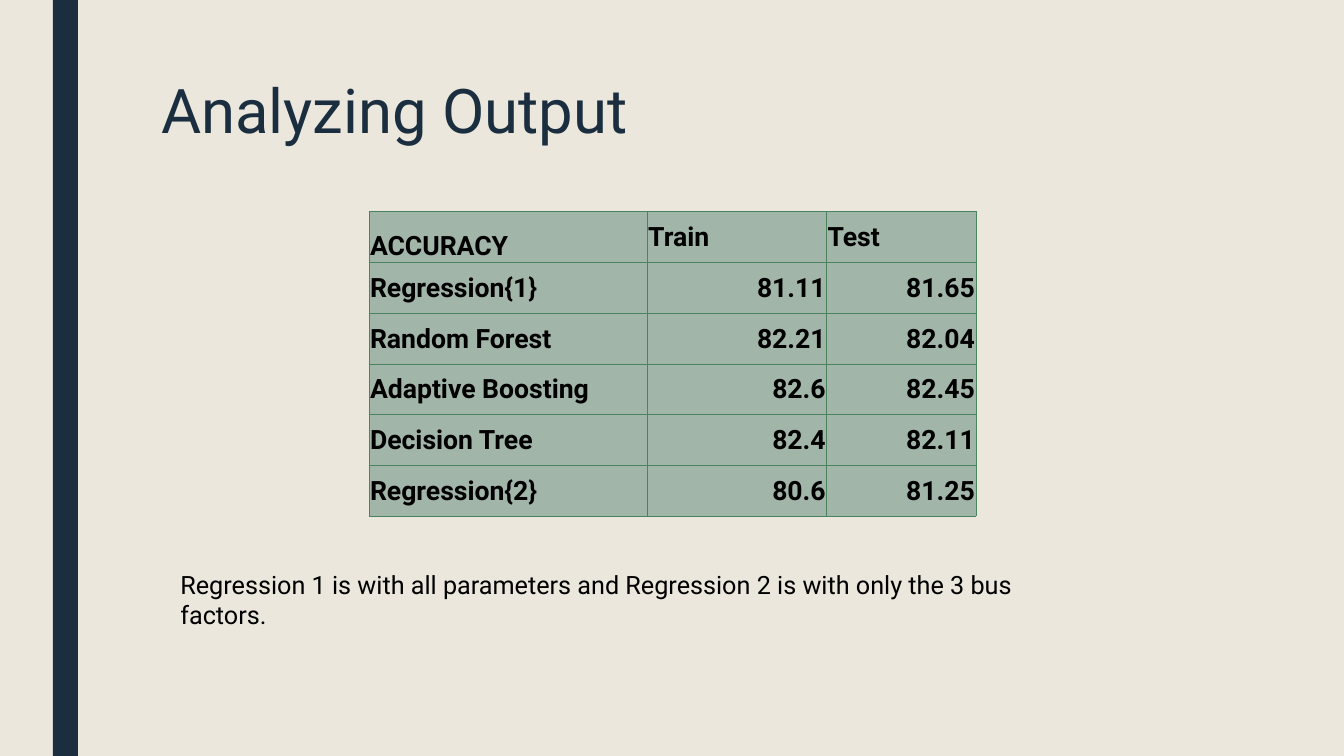
from dataclasses import dataclass

from lxml.etree import SubElement
from pptx import Presentation
from pptx.dml.color import RGBColor
from pptx.enum.shapes import MSO_SHAPE
from pptx.enum.text import MSO_ANCHOR as Anchor, PP_ALIGN as Align
from pptx.oxml.ns import qn
from pptx.util import Inches, Pt

COLORS = {
    "paper": "EBE7DD",
    "navy": "1A2E40",
    "sage": "A2B5A9",
    "green": "4A845E",
    "black": "000000",
}
FONT = "Roboto"
WIDTH, HEIGHT = Inches(13.33), Inches(7.5)


@dataclass(frozen=True)
class Area:
    """A place on the slide, in percent of its width and height."""
    left: float
    top: float
    width: float
    height: float

    def box(self) -> tuple[int, int, int, int]:
        return (across(self.left), down(self.top),
                across(self.width), down(self.height))


@dataclass(frozen=True)
class Score:
    model: str
    train: str
    test: str


SCORES = [
    Score("ACCURACY", "Train", "Test"),
    Score("Regression{1}", "81.11", "81.65"),
    Score("Random Forest", "82.21", "82.04"),
    Score("Adaptive Boosting", "82.6", "82.45"),
    Score("Decision Tree", "82.4", "82.11"),
    Score("Regression{2}", "80.6", "81.25"),
]
COLUMN_SHARES = (20.7, 13.35, 11.1)
ROW_SHARE = 6.71

STRIPE = Area(3.93, 0, 1.86, 100)
HEADING = Area(11.25, 10, 78.77, 21.6)
ACCURACY = Area(27.46, 28, sum(COLUMN_SHARES), ROW_SHARE * len(SCORES))
REMARK = Area(12.68, 74.67, 67.22, 5.33)


def across(percent: float) -> int:
    return round(WIDTH * percent / 100)


def down(percent: float) -> int:
    return round(HEIGHT * percent / 100)


def rgb(name: str) -> RGBColor:
    return RGBColor.from_string(COLORS[name])


def write(frame, text: str, *, size: float, color: str = "black",
          bold: bool = False, align=Align.LEFT, spacing: float = 1.0) -> None:
    frame.word_wrap = True
    paragraph = frame.paragraphs[0]
    paragraph.alignment = align
    paragraph.line_spacing = spacing
    run = paragraph.add_run()
    run.text = text
    run.font.name = FONT
    run.font.size = Pt(size)
    run.font.bold = bold
    run.font.color.rgb = rgb(color)


def add_stripe(slide, area: Area) -> None:
    stripe = slide.shapes.add_shape(MSO_SHAPE.RECTANGLE, *area.box())
    stripe.shadow.inherit = False
    stripe.fill.solid()
    stripe.fill.fore_color.rgb = rgb("navy")
    stripe.line.fill.background()


def outline_cell(cell, color: str, width: float) -> None:
    properties = cell._tc.get_or_add_tcPr()
    for side in ("a:lnL", "a:lnR", "a:lnT", "a:lnB"):
        border = SubElement(properties, qn(side), w=str(Pt(width)))
        fill = SubElement(border, qn("a:solidFill"))
        SubElement(fill, qn("a:srgbClr"), val=COLORS[color])


def add_scores(slide, area: Area, scores: list[Score]) -> None:
    table = slide.shapes.add_table(
        len(scores), len(COLUMN_SHARES), *area.box()).table
    table.first_row = table.horz_banding = False
    for column, share in zip(table.columns, COLUMN_SHARES):
        column.width = across(share)
    for r, score in enumerate(scores):
        table.rows[r].height = down(ROW_SHARE)
        for c, text in enumerate((score.model, score.train, score.test)):
            cell = table.cell(r, c)
            cell.margin_left = cell.margin_right = cell.margin_top = Inches(0.01)
            cell.margin_bottom = 0
            cell.vertical_anchor = Anchor.BOTTOM if r == c == 0 else Anchor.MIDDLE
            outline_cell(cell, "green", 0.5)
            cell.fill.solid()
            cell.fill.fore_color.rgb = rgb("sage")
            write(cell.text_frame, text, size=19, bold=True,
                  align=Align.RIGHT if r and c else Align.LEFT)


def main() -> None:
    deck = Presentation()
    deck.slide_width, deck.slide_height = WIDTH, HEIGHT
    slide = deck.slides.add_slide(deck.slide_layouts[6])

    # Background and side stripe
    slide.background.fill.solid()
    slide.background.fill.fore_color.rgb = rgb("paper")
    add_stripe(slide, STRIPE)

    # Heading
    heading = slide.shapes.add_textbox(*HEADING.box())
    write(heading.text_frame, "Analyzing Output", size=44, color="navy",
          spacing=0.89)

    # Accuracy of each model
    add_scores(slide, ACCURACY, SCORES)

    # Remark on the two regressions
    remark = slide.shapes.add_textbox(*REMARK.box())
    write(remark.text_frame,
          "Regression 1 is with all parameters and Regression 2 is with "
          "only the 3 bus factors.", size=18)

    deck.save("out.pptx")


if __name__ == "__main__":
    main()
